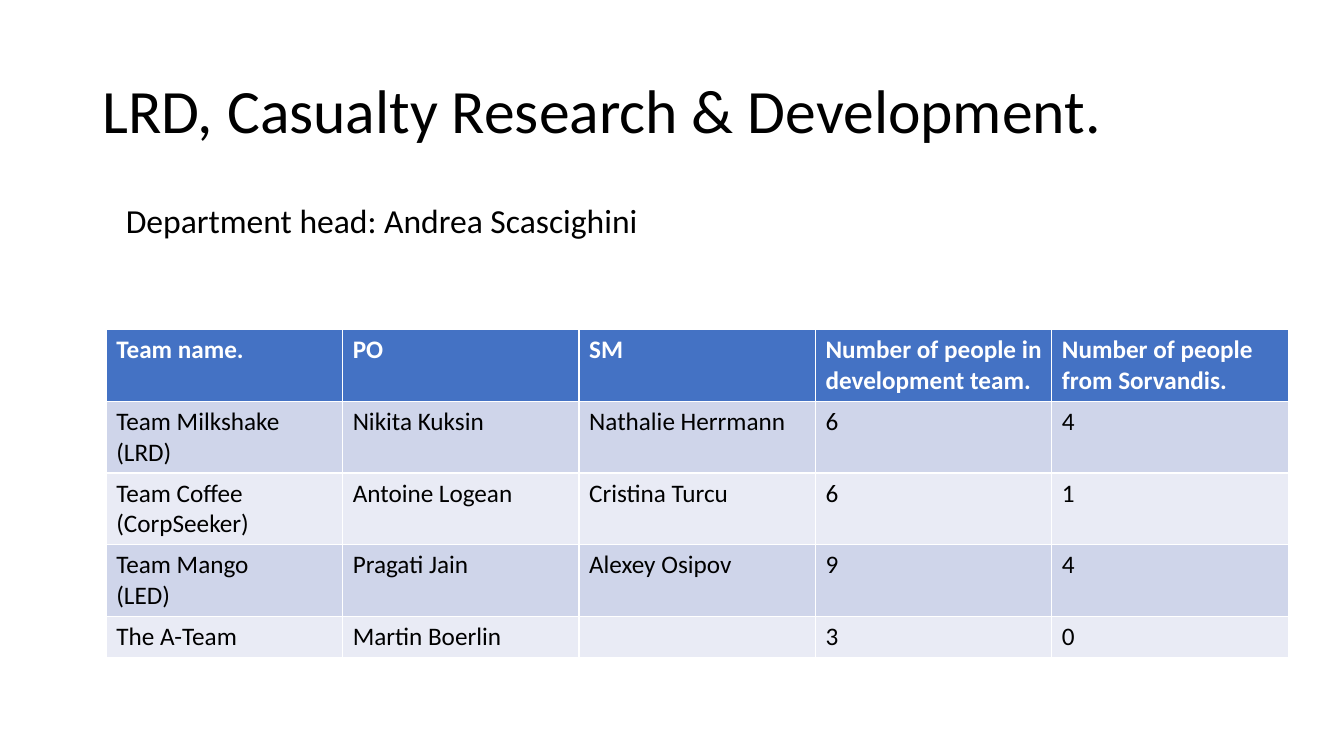
from pptx import Presentation
from pptx.dml.color import RGBColor
from pptx.enum.text import MSO_ANCHOR, MSO_AUTO_SIZE, PP_ALIGN
from pptx.util import Pt

# Content
TITLE = "LRD, Casualty Research & Development."
HEAD = "Department head: Andrea Scascighini"
TEAMS = [
    ("Team name.", "PO", "SM", "Number of people in development team.",
     "Number of people from Sorvandis."),
    ("Team Milkshake (LRD)", "Nikita Kuksin", "Nathalie Herrmann", "6", "4"),
    ("Team Coffee (CorpSeeker)", "Antoine Logean", "Cristina Turcu", "6", "1"),
    ("Team Mango \v(LED)", "Pragati Jain", "Alexey Osipov", "9", "4"),
    ("The A-Team", "Martin Boerlin", "", "3", "0"),
]

# Format values
COLORS = {"text": "000000", "header_text": "FFFFFF", "header": "4472C4",
          "odd": "CFD5EA", "even": "E9EBF5"}
TITLE_FONT = {"name": "Calibri", "size": Pt(44), "bold": False}
HEAD_FONT = {"name": "Calibri", "size": Pt(24), "bold": False}
HEADER_FONT = {"name": "Calibri", "size": Pt(18), "bold": True}
BODY_FONT = {"name": "Calibri", "size": Pt(18), "bold": False}
TALL_ROW, SHORT_ROW = 50.4, 29.2
TABLE_LEFT, TABLE_TOP, TABLE_WIDTH = 75.9, 235.6, 844.4


def write(frame, text, font, color):
    frame.text = text
    for para in frame.paragraphs:
        for span in para.runs:
            for key, value in font.items():
                setattr(span.font, key, value)
            span.font.color.rgb = RGBColor.from_string(COLORS[color])


def main():
    deck = Presentation()
    deck.slide_width, deck.slide_height = Pt(960), Pt(540)
    page = deck.slides.add_slide(deck.slide_layouts[5])

    # Title
    title = page.shapes.title
    place = {"left": Pt(66), "top": Pt(28.8), "width": Pt(828), "height": Pt(104.4)}
    for key, value in place.items():
        setattr(title, key, value)
    write(title.text_frame, TITLE, TITLE_FONT, "text")
    title.text_frame.auto_size = MSO_AUTO_SIZE.NONE
    title.text_frame.vertical_anchor = MSO_ANCHOR.MIDDLE
    title.text_frame.paragraphs[0].alignment = PP_ALIGN.LEFT
    title.text_frame.paragraphs[0].line_spacing = 0.9

    # Team table
    heights = [TALL_ROW] * (len(TEAMS) - 1) + [SHORT_ROW]
    table = page.shapes.add_table(
        len(TEAMS), len(TEAMS[0]), Pt(TABLE_LEFT), Pt(TABLE_TOP),
        Pt(TABLE_WIDTH), Pt(sum(heights))).table
    for column in table.columns:
        column.width = Pt(TABLE_WIDTH / len(TEAMS[0]))
    for number, (team, height) in enumerate(zip(TEAMS, heights)):
        table.rows[number].height = Pt(height)
        if number == 0:
            fill, font, color = "header", HEADER_FONT, "header_text"
        else:
            fill, font, color = ("odd" if number % 2 else "even"), BODY_FONT, "text"
        for cell, text in zip(table.rows[number].cells, team):
            cell.fill.solid()
            cell.fill.fore_color.rgb = RGBColor.from_string(COLORS[fill])
            write(cell.text_frame, text, font, color)

    # Department head
    box = page.shapes.add_textbox(Pt(82.8), Pt(139), Pt(605.5), Pt(36))
    box.text_frame.word_wrap = True
    write(box.text_frame, HEAD, HEAD_FONT, "text")

    deck.save("out.pptx")


if __name__ == "__main__":
    main()
